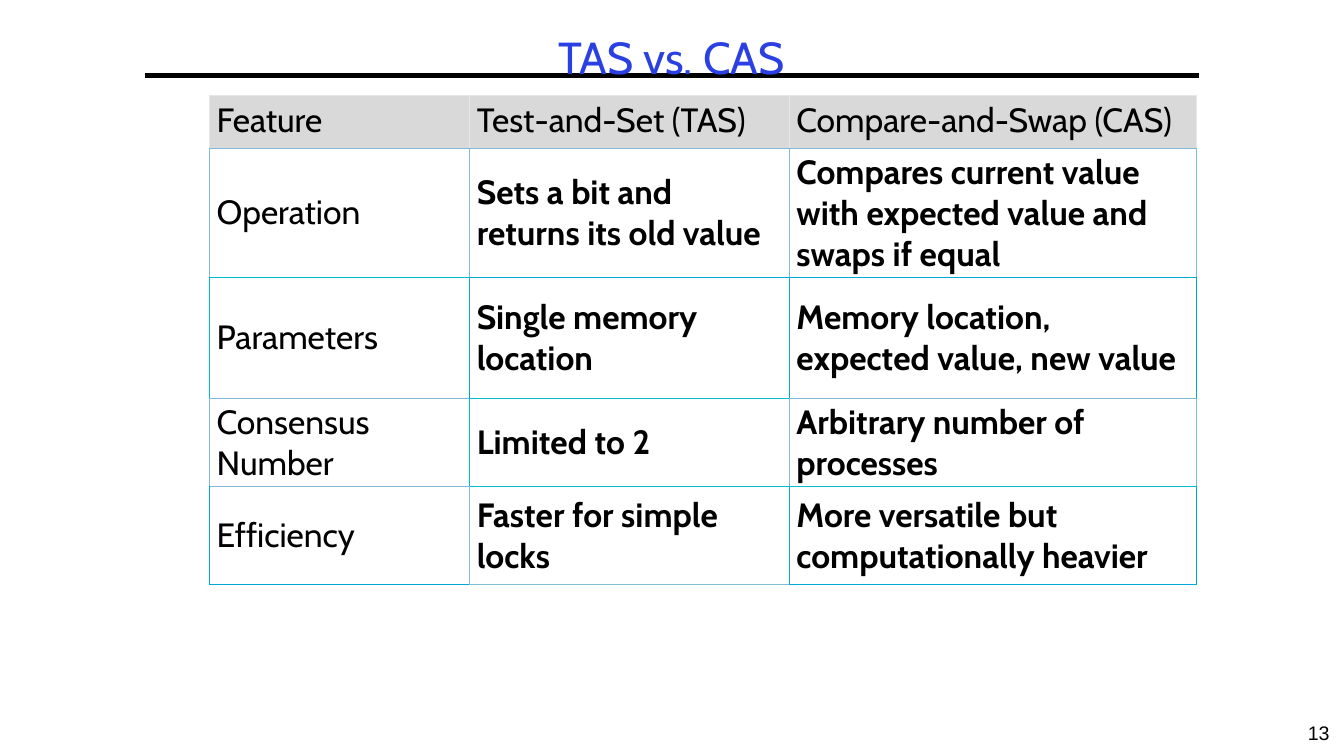
from dataclasses import dataclass

from lxml.etree import SubElement
from pptx import Presentation
from pptx.dml.color import RGBColor
from pptx.enum.shapes import MSO_CONNECTOR
from pptx.enum.text import MSO_ANCHOR, MSO_AUTO_SIZE, PP_ALIGN
from pptx.oxml.ns import qn
from pptx.util import Inches, Pt


@dataclass(frozen=True)
class Theme:
    ink: str = "000000"
    heading: str = "2A40E2"
    background: str = "FFFFFF"
    header_fill: str = "D9D9D9"
    header_edge: str = "E5E7EB"
    body_font: str = "Cabin"
    number_font: str = "Arial"
    title_size: int = 32
    table_size: int = 24
    number_size: int = 14
    rule_width: float = 3
    header_edge_width: float = 1
    body_edge_width: float = 0.6


THEME = Theme()

COMPARISON = [
    ["Feature", "Test-and-Set (TAS)", "Compare-and-Swap (CAS)"],
    ["Operation", "Sets a bit and returns its old value",
     "Compares current value with expected value and swaps if equal"],
    ["Parameters", "Single memory location", "Memory location, expected value, new value"],
    ["Consensus Number", "Limited to 2", "Arbitrary number of processes"],
    ["Efficiency", "Faster for simple locks", "More versatile but computationally heavier"],
]
COLUMN_WIDTHS = [2.58, 3.17, 4.04]
ROW_HEIGHTS = [0.52, 1.2, 1.2, 0.75, 0.97]

# Edge colours: one list per horizontal grid line, then one per row of vertical edges.
HORIZONTAL_EDGES = [
    [THEME.header_edge] * 3,
    ["80B9D5"] * 3,
    ["00BAD5", "00AAD5", "00AAD5"],
    ["80B9D5", "00BFD5", "80B9D5"],
    ["80B9D5", "00BFD5", "00BFD5"],
    ["00A6D5", "80BED5", "00AAD5"],
]
VERTICAL_EDGES = [
    [THEME.header_edge] * 4,
    ["80B9D5"] * 4,
    ["00BAD5", "00AAD5", "00AAD5", "00AAD5"],
    ["80B9D5", "00BFD5", "80B9D5", "80B9D5"],
    ["00A6D5", "80BED5", "00AAD5", "00AAD5"],
]


def write_text(frame, text, *, size, font=THEME.body_font, color=THEME.ink,
               bold=False, align=PP_ALIGN.LEFT, line_spacing=None):
    frame.word_wrap = True
    paragraph = frame.paragraphs[0]
    paragraph.alignment = align
    paragraph.line_spacing = line_spacing
    run = paragraph.add_run()
    run.text = text
    run.font.name = font
    run.font.size = Pt(size)
    run.font.bold = bold
    run.font.color.rgb = RGBColor.from_string(color)


def set_title(slide, text):
    title = slide.shapes.title
    title.left, title.top = Inches(0.46), Inches(0.3)
    title.width, title.height = Inches(12.4), Inches(0.58)
    frame = title.text_frame
    frame.vertical_anchor = MSO_ANCHOR.TOP
    frame.auto_size = MSO_AUTO_SIZE.SHAPE_TO_FIT_TEXT
    write_text(frame, text, size=THEME.title_size, color=THEME.heading,
               align=PP_ALIGN.CENTER, line_spacing=0.9)


def add_title_rule(slide):
    """Draw the horizontal rule behind the title."""
    rule = slide.shapes.add_connector(
        MSO_CONNECTOR.STRAIGHT, Inches(1.44), Inches(0.75), Inches(11.89), Inches(0.75))
    rule.line.color.rgb = RGBColor.from_string(THEME.ink)
    rule.line.width = Pt(THEME.rule_width)
    SubElement(rule._element.spPr, qn("a:effectLst"))
    slide.shapes.title._element.addprevious(rule._element)


def add_slide_number(slide, number):
    box = slide.shapes.add_textbox(Inches(12.83), Inches(7.1), Inches(0.5), Inches(0.4))
    write_text(box.text_frame, number, size=THEME.number_size,
               font=THEME.number_font, align=PP_ALIGN.CENTER)


def set_cell_edges(cell, row, column):
    edges = {
        "a:lnL": VERTICAL_EDGES[row][column],
        "a:lnR": VERTICAL_EDGES[row][column + 1],
        "a:lnT": HORIZONTAL_EDGES[row][column],
        "a:lnB": HORIZONTAL_EDGES[row + 1][column],
    }
    properties = cell._tc.get_or_add_tcPr()
    for position, (tag, color) in enumerate(edges.items()):
        is_header = color == THEME.header_edge
        width = THEME.header_edge_width if is_header else THEME.body_edge_width
        edge = SubElement(properties, qn(tag), w=str(Pt(width)))
        fill = SubElement(edge, qn("a:solidFill"))
        SubElement(fill, qn("a:srgbClr"), val=color)
        properties.insert(position, edge)


def format_cell(cell, text, row, column):
    is_header = row == 0
    cell.margin_left = cell.margin_right = Inches(0.07)
    cell.margin_top = cell.margin_bottom = Inches(0.04)
    cell.vertical_anchor = MSO_ANCHOR.TOP if is_header else MSO_ANCHOR.MIDDLE
    if is_header:
        cell.fill.solid()
        cell.fill.fore_color.rgb = RGBColor.from_string(THEME.header_fill)
    else:
        cell.fill.background()
    write_text(cell.text_frame, text, size=THEME.table_size,
               bold=not is_header and column > 0)
    set_cell_edges(cell, row, column)


def add_comparison_table(slide):
    table = slide.shapes.add_table(
        len(ROW_HEIGHTS), len(COLUMN_WIDTHS), Inches(2.08), Inches(0.95),
        Inches(sum(COLUMN_WIDTHS)), Inches(sum(ROW_HEIGHTS))).table
    table.horz_banding = False
    table.first_row = False
    for column, width in zip(table.columns, COLUMN_WIDTHS):
        column.width = Inches(width)
    for row, height in zip(table.rows, ROW_HEIGHTS):
        row.height = Inches(height)
    for row, texts in enumerate(COMPARISON):
        for column, text in enumerate(texts):
            format_cell(table.cell(row, column), text, row, column)


def main():
    presentation = Presentation()
    presentation.slide_width = Inches(13.33)
    presentation.slide_height = Inches(7.5)
    slide = presentation.slides.add_slide(presentation.slide_layouts.get_by_name("Title Only"))
    slide.background.fill.solid()
    slide.background.fill.fore_color.rgb = RGBColor.from_string(THEME.background)
    set_title(slide, "TAS vs. CAS")
    add_title_rule(slide)
    add_slide_number(slide, "13")
    add_comparison_table(slide)
    presentation.save("out.pptx")


if __name__ == "__main__":
    main()
